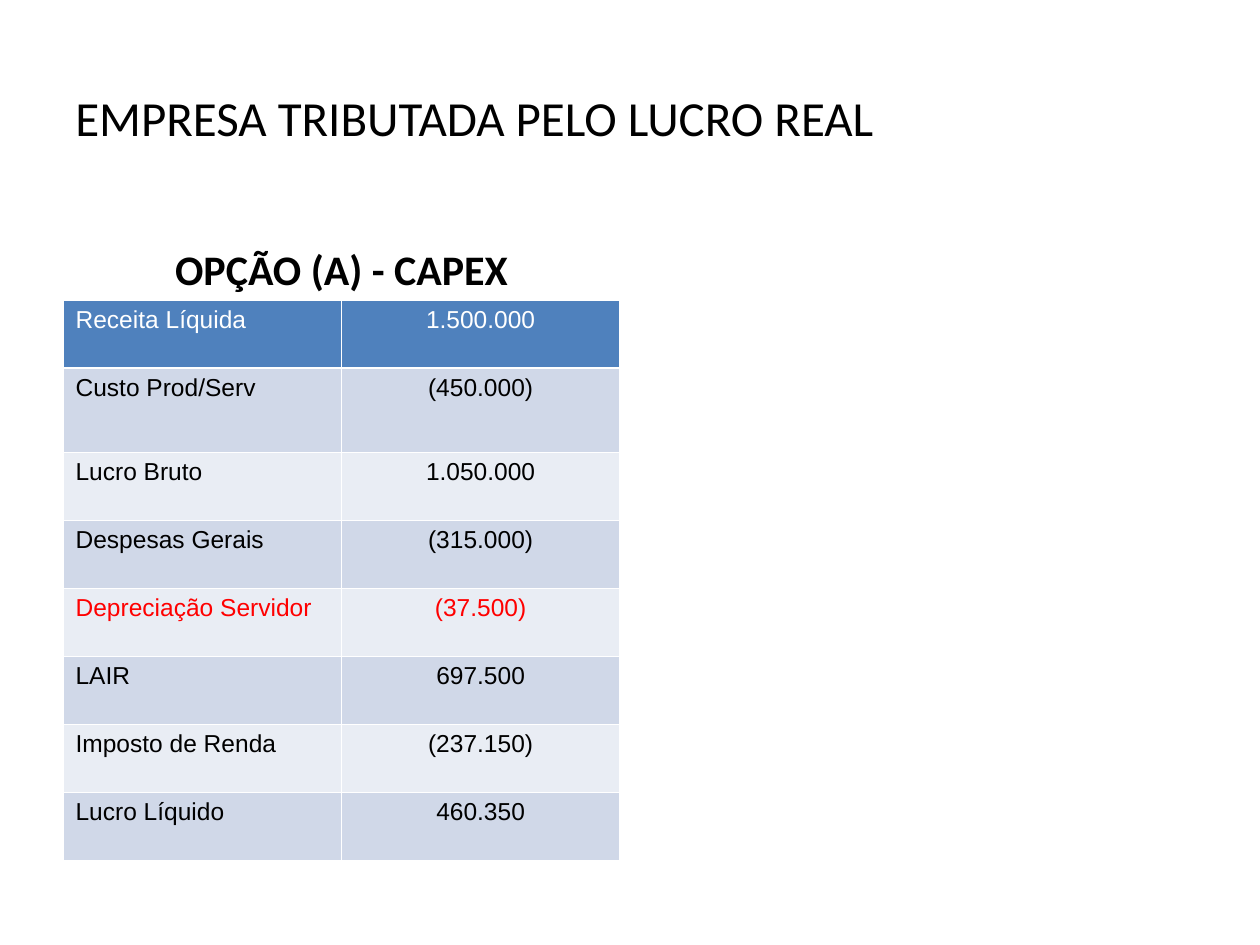
from pptx import Presentation
from pptx.dml.color import RGBColor
from pptx.enum.text import MSO_ANCHOR, PP_ALIGN
from pptx.util import Inches, Pt

BLACK = RGBColor(0x00, 0x00, 0x00)
WHITE = RGBColor(0xFF, 0xFF, 0xFF)
RED = RGBColor(0xFF, 0x00, 0x00)
HEADER_BLUE = RGBColor(0x4F, 0x81, 0xBD)
BAND_DARK = RGBColor(0xD0, 0xD8, 0xE8)
BAND_LIGHT = RGBColor(0xE9, 0xED, 0xF4)

LEFT = 0.5
TABLE_WIDTH = 4.42
ROW_HEIGHT = 0.54
COST_ROW_HEIGHT = 0.67

INCOME_STATEMENT = [
    ("Receita Líquida", "1.500.000"),
    ("Custo Prod/Serv", "(450.000)"),
    ("Lucro Bruto", "1.050.000"),
    ("Despesas Gerais", "(315.000)"),
    ("Depreciação Servidor", "(37.500)"),
    ("LAIR", "697.500"),
    ("Imposto de Renda", "(237.150)"),
    ("Lucro Líquido", "460.350"),
]
COST_ROW = 1
DEPRECIATION_ROW = 4


def write(paragraph, text, align, font_format):
    paragraph.text = text
    paragraph.alignment = align
    font = paragraph.runs[0].font
    for name, value in font_format.items():
        if name == "color":
            font.color.rgb = value
        else:
            setattr(font, name, value)


prs = Presentation()
prs.slide_width, prs.slide_height = Inches(10), Inches(7.5)
slide = prs.slides.add_slide(prs.slide_layouts[6])

# Title and option heading
headings = [
    ("EMPRESA TRIBUTADA PELO LUCRO REAL", 0.3, 9, 1.25, MSO_ANCHOR.MIDDLE,
     PP_ALIGN.LEFT, {"size": Pt(28)}),
    ("OPÇÃO (A) - CAPEX", 1.68, TABLE_WIDTH, 0.7, MSO_ANCHOR.BOTTOM,
     PP_ALIGN.CENTER, {"size": Pt(24), "bold": True}),
]
for text, top, width, height, anchor, align, font_format in headings:
    heading = slide.shapes.add_textbox(
        Inches(LEFT), Inches(top), Inches(width), Inches(height))
    frame = heading.text_frame
    frame.word_wrap = True
    frame.vertical_anchor = anchor
    write(frame.paragraphs[0], text, align,
          {"name": "Calibri", "color": BLACK, **font_format})

# Income statement; the default table style supplies the white borders
table_height = ROW_HEIGHT * (len(INCOME_STATEMENT) - 1) + COST_ROW_HEIGHT
table = slide.shapes.add_table(
    len(INCOME_STATEMENT), 2, Inches(LEFT), Inches(2.38),
    Inches(TABLE_WIDTH), Inches(table_height)).table
for column in table.columns:
    column.width = Inches(TABLE_WIDTH / 2)

for row, entry in enumerate(INCOME_STATEMENT):
    table.rows[row].height = Inches(
        COST_ROW_HEIGHT if row == COST_ROW else ROW_HEIGHT)
    if row == 0:
        fill_color, text_color = HEADER_BLUE, WHITE
    else:
        fill_color = BAND_DARK if row % 2 else BAND_LIGHT
        text_color = RED if row == DEPRECIATION_ROW else BLACK
    for col, (text, align) in enumerate(
            zip(entry, (PP_ALIGN.LEFT, PP_ALIGN.CENTER))):
        cell = table.cell(row, col)
        cell.fill.solid()
        cell.fill.fore_color.rgb = fill_color
        write(cell.text_frame.paragraphs[0], text, align,
              {"name": "Arial", "size": Pt(14), "color": text_color})

prs.save("out.pptx")
